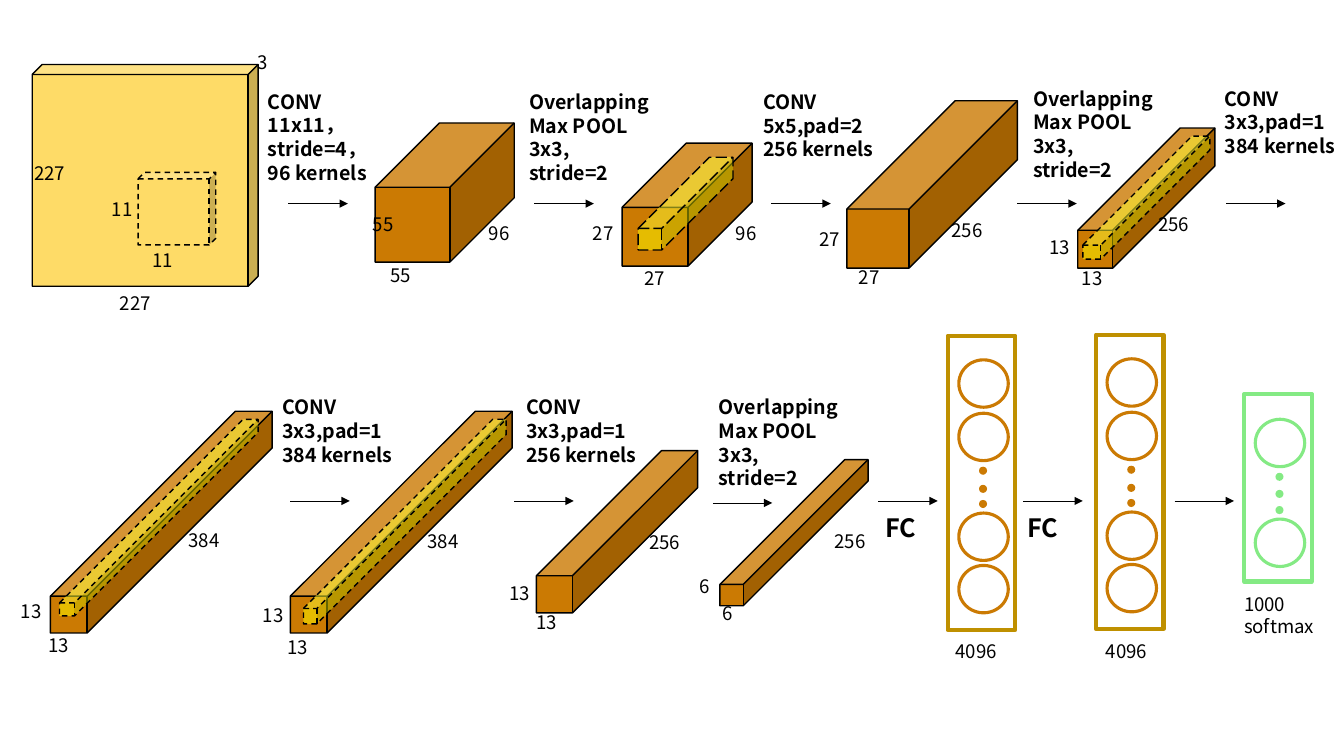
from lxml import etree
from pptx import Presentation
from pptx.dml.color import RGBColor
from pptx.enum.dml import MSO_LINE
from pptx.enum.shapes import MSO_CONNECTOR, MSO_SHAPE
from pptx.oxml.ns import qn
from pptx.util import Inches, Pt

CUBE, RECTANGLE, OVAL = MSO_SHAPE.CUBE, MSO_SHAPE.RECTANGLE, MSO_SHAPE.OVAL
STRAIGHT = MSO_CONNECTOR.STRAIGHT
DASH, LONG_DASH = MSO_LINE.DASH, MSO_LINE.LONG_DASH

# The grid has 1333 columns and 750 rows of square cells.
COLUMNS, ROWS, CELL = 1333, 750, Inches(0.01)
FONT = "Noto Sans CJK SC"
LINE_PITCH = 1.21
BLACK, ORANGE, CREAM, YELLOW = "000000", "CB7A03", "FEDB67", "FFFF00"
GOLD, GREEN = "BF9000", "84EA84"
ARROW_LENGTH, CIRCLE_WIDTH, CIRCLE_HEIGHT, DOT = 59, 49, 47, 8

POOL = "Overlapping\nMax POOL\n3x3,\nstride=2"
CONV_384 = "CONV\n3x3,pad=1\n384 kernels"

# left, top, width, height, depth ratio
FEATURE_MAPS = [
    (372, 122, 138, 138, 0.462),
    (617, 142, 129, 122, 0.522),
    (840, 100, 169, 166, 0.647),
    (1069, 127, 136, 139, 0.746),
    (50, 408, 220, 220, 0.834),
    (288, 408, 220, 220, 0.834),
    (532, 447, 160, 161, 0.776),
    (714, 456, 147, 145, 0.854),
]
KERNELS = [
    (633, 156, 94, 92, 0.768, LONG_DASH),
    (1074, 135, 126, 122, 0.887, DASH),
    (59, 416, 197, 195, 0.934, DASH),
    (301, 416, 201, 203, 0.934, DASH),
]
# left, top, width, height, text
OPERATIONS = [
    (256, 84, 124, 104, "CONV\n11x11，\nstride=4，\n96 kernels"),
    (515, 84, 144, 128, POOL),
    (747, 84, 144, 81, "CONV\n5x5,pad=2\n256 kernels"),
    (1015, 81, 144, 128, POOL),
    (1205, 81, 144, 81, CONV_384),
    (270, 387, 144, 81, CONV_384),
    (512, 387, 144, 81, "CONV\n3x3,pad=1\n256 kernels"),
    (703, 387, 144, 128, POOL),
]
# text: left and top of every place where it stands
DIMENSIONS = {
    "3": [(246, 45)],
    "6": [(707, 592), (684, 565)],
    "11": [(101, 191), (141, 242)],
    "13": [(1031, 229), (1063, 260), (38, 624), (11, 590), (275, 626),
           (251, 594), (522, 601), (495, 572)],
    "27": [(629, 260), (578, 215), (842, 259), (803, 221)],
    "55": [(377, 257), (360, 206)],
    "96": [(475, 215), (720, 215)],
    "227": [(24, 156), (109, 284)],
    "256": [(934, 212), (1139, 206), (634, 522), (818, 521)],
    "384": [(177, 520), (414, 521)],
    "4096": [(938, 630), (1087, 630)],
}
# row: columns where arrows start
ARROWS = {
    202: [286, 530, 765, 1009, 1216],
    497: [288, 510, 871, 1015, 1165],
    499: [707],
}
# left, top, height, outline, circle colour, circle offsets, dot offsets
HIDDEN_UNITS = ((24, 77, 176, 228), (130, 148, 163))
LAYERS = [
    (940, 333, 292, GOLD, ORANGE, *HIDDEN_UNITS),
    (1087, 332, 292, GOLD, ORANGE, *HIDDEN_UNITS),
    (1234, 391, 186, GREEN, GREEN, (25, 124), (78, 95, 111)),
]


def color(hex_string):
    return RGBColor.from_string(hex_string)


def cells(*lengths):
    return [length * CELL for length in lengths]


def add_figure(shapes, kind, box, fill=None, line=None, width=1, dash=None,
               opacity=100):
    shape = shapes.add_shape(kind, *cells(*box))
    shape.shadow.inherit = False
    if fill:
        shape.fill.solid()
        shape.fill.fore_color.rgb = color(fill)
        if opacity < 100:
            tint = shape.fill._xPr.find(qn("a:solidFill"))[0]
            alpha = etree.SubElement(tint, qn("a:alpha"))
            alpha.set("val", str(opacity * 1000))
    else:
        shape.fill.background()
    if line:
        shape.line.color.rgb = color(line)
        shape.line.width = Pt(width)
        if dash:
            shape.line.dash_style = dash
    else:
        shape.line.fill.background()
    return shape


def add_cube(slide, box, depth, fill, **style):
    cube = add_figure(slide.shapes, CUBE, box, fill, BLACK, **style)
    cube.adjustments[0] = depth


def add_text(slide, text, box, size=13.3, bold=False):
    frame = slide.shapes.add_textbox(*cells(*box)).text_frame
    frame.word_wrap = True
    frame.text = text
    for paragraph in frame.paragraphs:
        paragraph.line_spacing = Pt(round(size * LINE_PITCH, 1))
        font = paragraph.runs[0].font
        font.name, font.size, font.bold = FONT, Pt(size), bold
        font.color.rgb = color(BLACK)
        east_asian = etree.SubElement(font._element, qn("a:ea"))
        east_asian.set("typeface", FONT)


def add_arrow(slide, left, row):
    arrow = slide.shapes.add_connector(
        STRAIGHT, *cells(left, row, left + ARROW_LENGTH, row))
    arrow.line.color.rgb = color(BLACK)
    arrow.line.width = Pt(0.5)
    etree.SubElement(arrow.line._ln, qn("a:tailEnd")).set("type", "triangle")
    etree.SubElement(arrow._element.spPr, qn("a:effectLst"))


def add_layer(slide, left, top, height, outline, unit_color, circles, dots):
    """Draw a fully connected layer as one group."""
    shapes = slide.shapes.add_group_shape().shapes
    add_figure(shapes, RECTANGLE, (left, top, 67, height), line=outline, width=3)
    for offset in circles:
        box = (left + 11, top + offset, CIRCLE_WIDTH, CIRCLE_HEIGHT)
        add_figure(shapes, OVAL, box, line=unit_color, width=2.25)
    for offset in dots:
        add_figure(shapes, OVAL, (left + 31, top + offset, DOT, DOT), unit_color)


def main():
    presentation = Presentation()
    presentation.slide_width, presentation.slide_height = cells(COLUMNS, ROWS)
    slide = presentation.slides.add_slide(presentation.slide_layouts[6])

    add_cube(slide, (32, 64, 224, 220), 0.045, CREAM)
    add_cube(slide, (137, 171, 77, 72), 0.09, CREAM, dash=DASH)
    for *box, depth in FEATURE_MAPS:
        add_cube(slide, box, depth, ORANGE)
    for *box, depth, dash in KERNELS:
        add_cube(slide, box, depth, YELLOW, dash=dash, opacity=50)
    for row, starts in ARROWS.items():
        for left in starts:
            add_arrow(slide, left, row)
    for layer in LAYERS:
        add_layer(slide, *layer)
    for *box, text in OPERATIONS:
        add_text(slide, text, box, size=14, bold=True)
    for left in (868, 1009):
        add_text(slide, "FC", (left, 503, 63, 40), size=18, bold=True)
    for text, places in DIMENSIONS.items():
        for left, top in places:
            add_text(slide, text, (left, top, 69, 33))
    add_text(slide, "1000\nsoftmax", (1224, 583, 116, 55))

    presentation.save("out.pptx")


if __name__ == "__main__":
    main()
